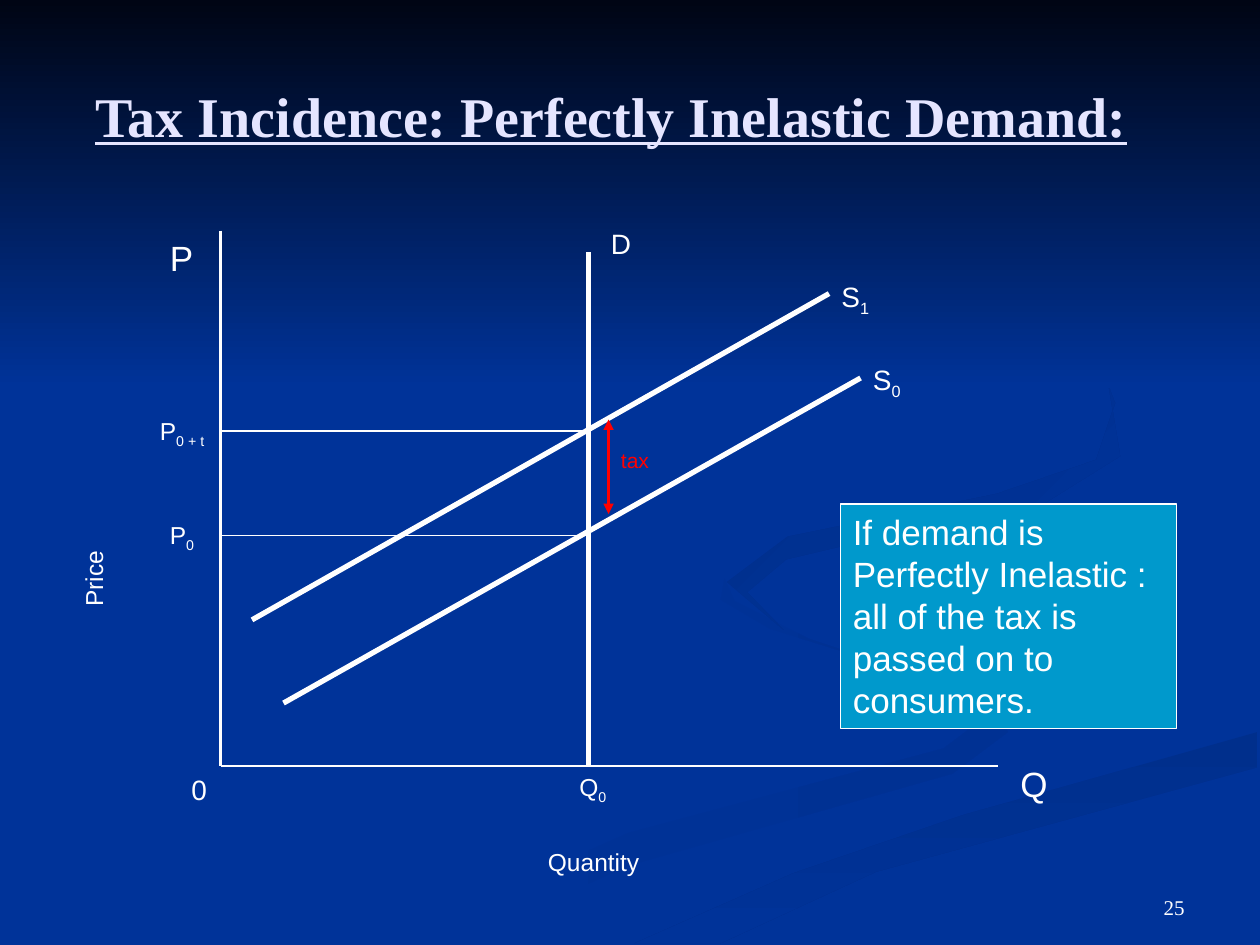
from pptx import Presentation
from pptx.util import Inches, Pt
from pptx.dml.color import RGBColor
from pptx.enum.shapes import MSO_CONNECTOR, MSO_SHAPE
from pptx.enum.text import MSO_ANCHOR, PP_ALIGN
from pptx.oxml.ns import qn
from lxml import etree

STRAIGHT = MSO_CONNECTOR.STRAIGHT
RECT = MSO_SHAPE.RECTANGLE
TOP, MIDDLE, BOTTOM = MSO_ANCHOR.TOP, MSO_ANCHOR.MIDDLE, MSO_ANCHOR.BOTTOM
LEFT, RIGHT = PP_ALIGN.LEFT, PP_ALIGN.RIGHT

COLORS = {
    "back": "003399", "night": "000514", "title": "E5E5FF", "white": "FFFFFF",
    "tax": "FF0000", "note": "0099CC", "swirl": "003193", "band": "002F8C",
}
C = {name: RGBColor.from_string(value) for name, value in COLORS.items()}

prs = Presentation()
prs.slide_width, prs.slide_height = Inches(10), Inches(7.5)
s = prs.slides.add_slide(prs.slide_layouts[6])
s.background.fill.solid()
s.background.fill.fore_color.rgb = C["back"]


def shade(sp, start, end, angle):
    sp.shadow.inherit = False
    sp.line.fill.background()
    sp.fill.gradient()
    sp.fill.gradient_angle = -angle % 360
    for stop, name in zip(sp.fill.gradient_stops, (start, end)):
        stop.color.rgb = C[name]


def write(sp, text, size, color="white", sub="", font="Arial",
          anchor=TOP, align=LEFT):
    tf = sp.text_frame
    tf.word_wrap = True
    tf.vertical_anchor = anchor
    p = tf.paragraphs[0]
    p.alignment = align
    p.font.size = Pt(size)
    p.font.name = font
    p.font.color.rgb = C[color]
    p.add_run().text = text
    if sub:
        r = p.add_run()
        r.text = sub
        r.font._element.set("baseline", "-25000")
    return p


swirls = [
    ("back", "swirl", 0, [
        (7.81, 5.53), (6.42, 5.07), (5.83, 4.77), (5.75, 4.59), (5.72, 4.76),
        (6.11, 4.99), (7.52, 5.43), (7.86, 5.66), (7.49, 5.94), (4.99, 6.61),
        (3, 7.49), (3.61, 7.49), (4.99, 6.87), (7.56, 6.14), (8, 5.81)]),
    ("band", "back", 90, [
        (5.03, 7.49), (5.71, 7.49), (6.95, 6.92), (9.98, 6.09), (9.98, 5.81),
        (7.64, 6.47), (6.3, 6.93)]),
    ("band", "back", 45, [
        (6.83, 4.3), (8.25, 4.02), (8.89, 3.62), (8.8, 3.07), (8.85, 3.2),
        (8.7, 3.65), (7.91, 3.92), (6.25, 4.26), (5.77, 4.62), (6.22, 5),
        (5.93, 4.7), (6.24, 4.44)]),
]
for start, end, angle, points in swirls:
    corners = [(Inches(x), Inches(y)) for x, y in points]
    outline = s.shapes.build_freeform(*corners[0])
    outline.add_line_segments(corners[1:])
    shade(outline.convert_to_shape(), start, end, angle)

sky = s.shapes.add_shape(RECT, 0, 0, Inches(10), Inches(3.08))
shade(sky, "night", "back", 90)

title = s.shapes.add_textbox(Inches(0.66), Inches(0.38), Inches(8.7), Inches(1.07))
p = write(title, "Tax Incidence: Perfectly Inelastic Demand:", 32, "title",
          font="Times New Roman", anchor=MIDDLE)
p.font.bold = True
p.font.underline = True

left, base, quantity = 1.75, 6.08, 4.67
lines = [
    (left, 1.83, left, base, 1.5, "white"),
    (left, base, 7.92, base, 1.5, "white"),
    (quantity, 2, quantity, base, 3, "white"),
    (2.25, 5.58, 6.83, 3, 3, "white"),
    (2, 4.92, 6.58, 2.33, 3, "white"),
    (quantity, 4.25, left, 4.25, 0.75, "white"),
    (quantity, 3.42, left, 3.42, 0.75, "white"),
    (4.83, 3.33, 4.83, 4.08, 1.5, "tax"),
]
for x1, y1, x2, y2, width, color in lines:
    line = s.shapes.add_connector(STRAIGHT, Inches(x1), Inches(y1), Inches(x2), Inches(y2))
    line.line.width = Pt(width)
    line.line.color.rgb = C[color]
    if color == "tax":
        ln = line.line._get_or_add_ln()
        for end in ("a:headEnd", "a:tailEnd"):
            etree.SubElement(ln, qn(end), type="triangle")
    etree.SubElement(line._element.spPr, qn("a:effectLst"))

heights = {12: 0.3, 14: 0.33, 16: 0.37, 20: 0.43}
labels = [
    (4.5, base, 0.5, "Q", "0", 14, "white"),
    (1.42, base, 0.33, "0", "", 16, "white"),
    (8, 6, 0.5, "Q", "", 20, "white"),
    (1.25, 1.83, 0.5, "P", "", 20, "white"),
    (4.25, 6.67, 1.42, "Quantity", "", 14, "white"),
    (6.83, 2.83, 0.58, "S", "0", 16, "white"),
    (6.58, 2.17, 0.58, "S", "1", 16, "white"),
    (4.75, 1.75, 0.5, "D", "", 16, "white"),
    (1.25, 4.08, 0.5, "P", "0", 14, "white"),
    (1.17, 3.25, 0.67, "P", "0 + t", 14, "white"),
    (4.83, 3.5, 0.58, "tax", "", 12, "tax"),
]
for x, y, w, text, sub, size, color in labels:
    sp = s.shapes.add_textbox(Inches(x), Inches(y), Inches(w), Inches(heights[size]))
    write(sp, text, size, color, sub)

price = s.shapes.add_textbox(Inches(0), Inches(3.91), Inches(1.58), Inches(0.43))
price.rotation = 270
write(price, "Price", 14)

note = s.shapes.add_shape(RECT, Inches(6.67), Inches(4), Inches(2.67), Inches(1.78))
note.shadow.inherit = False
note.fill.solid()
note.fill.fore_color.rgb = C["note"]
note.line.color.rgb = C["white"]
note.line.width = Pt(0.75)
write(note, "If demand is Perfectly Inelastic : all of the tax is passed on to consumers.", 20)

number = s.shapes.add_textbox(Inches(7.17), Inches(6.83), Inches(2.33), Inches(0.52))
write(number, "25", 12, font="Times New Roman", anchor=BOTTOM, align=RIGHT)

prs.save("out.pptx")
